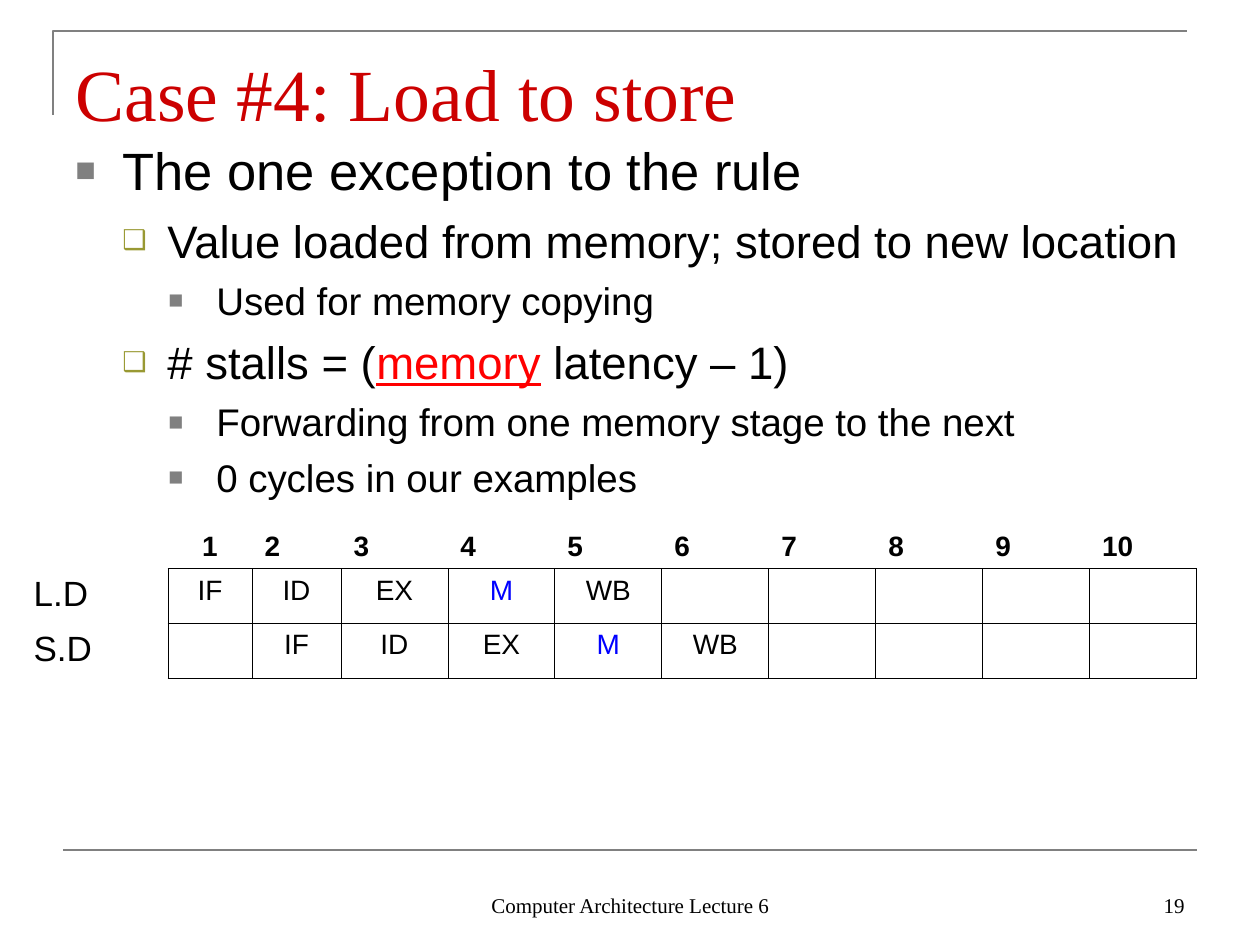
from lxml.etree import SubElement
from pptx import Presentation
from pptx.dml.color import RGBColor
from pptx.enum.shapes import MSO_CONNECTOR as Connector
from pptx.enum.text import MSO_ANCHOR as Anchor, MSO_AUTO_SIZE as AutoSize, PP_ALIGN as Align
from pptx.oxml.ns import qn
from pptx.util import Emu, Pt

PX_PER_INCH = 126
GREY, BLACK, WHITE, BLUE, RED = "808080", "000000", "FFFFFF", "0000FF", "FF0000"
LEVELS = [
    {"size": 30, "left": 47, "hang": 47, "before": 0, "bullet": "■", "tint": GREY, "scale": 65},
    {"size": 26, "left": 92, "hang": 45, "before": 6.5, "bullet": "❑", "tint": "999933", "scale": 60},
    {"size": 22, "left": 141, "hang": 48, "before": 5.5, "bullet": "■", "tint": GREY, "scale": 65},
]
POINTS = [
    (0, [("The one exception to the rule", {})]),
    (1, [("Value loaded from memory; stored to new location", {})]),
    (2, [("Used for memory copying", {})]),
    (1, [("# stalls = (", {}), ("memory", {"color": RED, "underline": True}), (" latency – 1)", {})]),
    (2, [("Forwarding from one memory stage to the next", {})]),
    (2, [("0 cycles in our examples", {})]),
]
STAGES = ["IF", "ID", "EX", "M", "WB"]
INSTRUCTIONS = [("L.D", 1), ("S.D", 2)]
CYCLES = 10


def px(length):
    return Emu(round(length * 914400 / PX_PER_INCH))


def rgb(value):
    return RGBColor.from_string(value)


def assign(target, formats):
    for name, value in formats.items():
        setattr(target, name, value)


def add_run(paragraph, text, size, name="Arial", color=BLACK, **formats):
    run = paragraph.add_run()
    run.text = text
    assign(run.font, {"size": Pt(size), "name": name, **formats})
    run.font.color.rgb = rgb(color)


def place(shape, box):
    assign(shape, dict(zip(("left", "top", "width", "height"), map(px, box))))


def add_text_area(slide, box, anchor=Anchor.TOP):
    frame = slide.shapes.add_textbox(*map(px, box)).text_frame
    assign(frame, {"word_wrap": True, "auto_size": AutoSize.NONE, "vertical_anchor": anchor})
    return frame


def style_rule(rule):
    rule.line.color.rgb = rgb(GREY)
    rule.line.width = Pt(1.5)


def add_rules(slide, box):
    left, top, width, height = box
    builder = slide.shapes.build_freeform(px(left), px(top + 84))
    builder.add_line_segments([(px(left), px(top)), (px(left + 1134), px(top))], close=False)
    corner = builder.convert_to_shape()
    corner.fill.background()
    corner.shadow.inherit = False
    style_rule(corner)
    base = slide.shapes.add_connector(
        Connector.STRAIGHT, px(left + 10), px(top + height), px(left + width), px(top + height))
    SubElement(base._element.spPr, qn("a:effectLst"))
    style_rule(base)
    base._element.spPr.append(base._element.spPr.find(qn("a:effectLst")))


def add_title(slide, box):
    title = slide.shapes.title
    place(title, box)
    assign(title.text_frame, {"word_wrap": True, "auto_size": AutoSize.NONE,
                              "vertical_anchor": Anchor.BOTTOM, "margin_bottom": 0})
    heading = title.text_frame.paragraphs[0]
    heading.alignment = Align.LEFT
    add_run(heading, "Case #4: Load to store", 42, "Times New Roman", "CC0000")


def add_bullet(paragraph, style):
    properties = paragraph._p.get_or_add_pPr()
    properties.set("marL", str(px(style["left"])))
    properties.set("indent", str(-px(style["hang"])))
    SubElement(SubElement(properties, qn("a:buClr")), qn("a:srgbClr"), val=style["tint"])
    SubElement(properties, qn("a:buSzPct"), val=str(style["scale"] * 1000))
    SubElement(properties, qn("a:buFont"), typeface="Arial")
    SubElement(properties, qn("a:buChar"), char=style["bullet"])


def add_points(slide, box):
    frame = add_text_area(slide, box)
    for index, (level, parts) in enumerate(POINTS):
        point = frame.add_paragraph() if index else frame.paragraphs[0]
        style = LEVELS[level]
        add_bullet(point, style)
        point.level = level
        if index:
            point.space_before = Pt(style["before"])
        for text, formats in parts:
            add_run(point, text, style["size"], **formats)


def add_footer(slide, box, text, alignment):
    line = add_text_area(slide, box, Anchor.BOTTOM).paragraphs[0]
    line.alignment = alignment
    add_run(line, text, 12, "Times New Roman")


def border_cell(cell, row, column):
    inner = row > 0 and column > 0
    dark = {"L": inner, "R": row > 0, "T": inner, "B": column > 0}
    for side, is_dark in dark.items():
        edge = SubElement(cell._tc.get_or_add_tcPr(), qn(f"a:ln{side}"), w=str(Pt(0.45)))
        fill = SubElement(edge, qn("a:solidFill"))
        SubElement(fill, qn("a:srgbClr"), val=BLACK if is_dark else WHITE)
    cell.fill.background()


def fill_cell(cell, text, size=16, alignment=Align.CENTER, **formats):
    entry = cell.text_frame.paragraphs[0]
    entry.alignment = alignment
    add_run(entry, text, size, **formats)


def add_pipeline(slide, box):
    rows = len(INSTRUCTIONS) + 1
    table = slide.shapes.add_table(rows, CYCLES + 1, *map(px, box)).table
    assign(table, {"first_row": False, "horz_banding": False})
    for column, width in zip(table.columns, [147, 84, 89] + [107] * (CYCLES - 2)):
        column.width = px(width)
    for row in table.rows:
        row.height = px(box[3] / rows)
    for row in range(rows):
        for column in range(CYCLES + 1):
            border_cell(table.cell(row, column), row, column)
    for cycle in range(1, CYCLES + 1):
        header = table.cell(0, cycle)
        header.vertical_anchor = Anchor.BOTTOM
        fill_cell(header, str(cycle), alignment=Align.CENTER if cycle == 1 else Align.LEFT, bold=True)
    for row, (instruction, start) in enumerate(INSTRUCTIONS, 1):
        fill_cell(table.cell(row, 0), instruction, 20, Align.LEFT)
        for cycle, stage in enumerate(STAGES, start):
            fill_cell(table.cell(row, cycle), stage, color=BLUE if stage == "M" else BLACK)


def main():
    deck = Presentation()
    assign(deck, {"slide_width": px(1260), "slide_height": px(945)})
    slide = deck.slides.add_slide(deck.slide_layouts[5])
    add_rules(slide, (53, 31, 1144, 819))
    add_title(slide, (63, 38, 1134, 98))
    add_points(slide, (63, 132, 1134, 404))
    add_footer(slide, (431, 861, 399, 63), "Computer Architecture Lecture 6", Align.CENTER)
    add_footer(slide, (903, 861, 294, 63), "19", Align.RIGHT)
    add_pipeline(slide, (21, 514, 1176, 164))
    deck.save("out.pptx")


if __name__ == "__main__":
    main()
